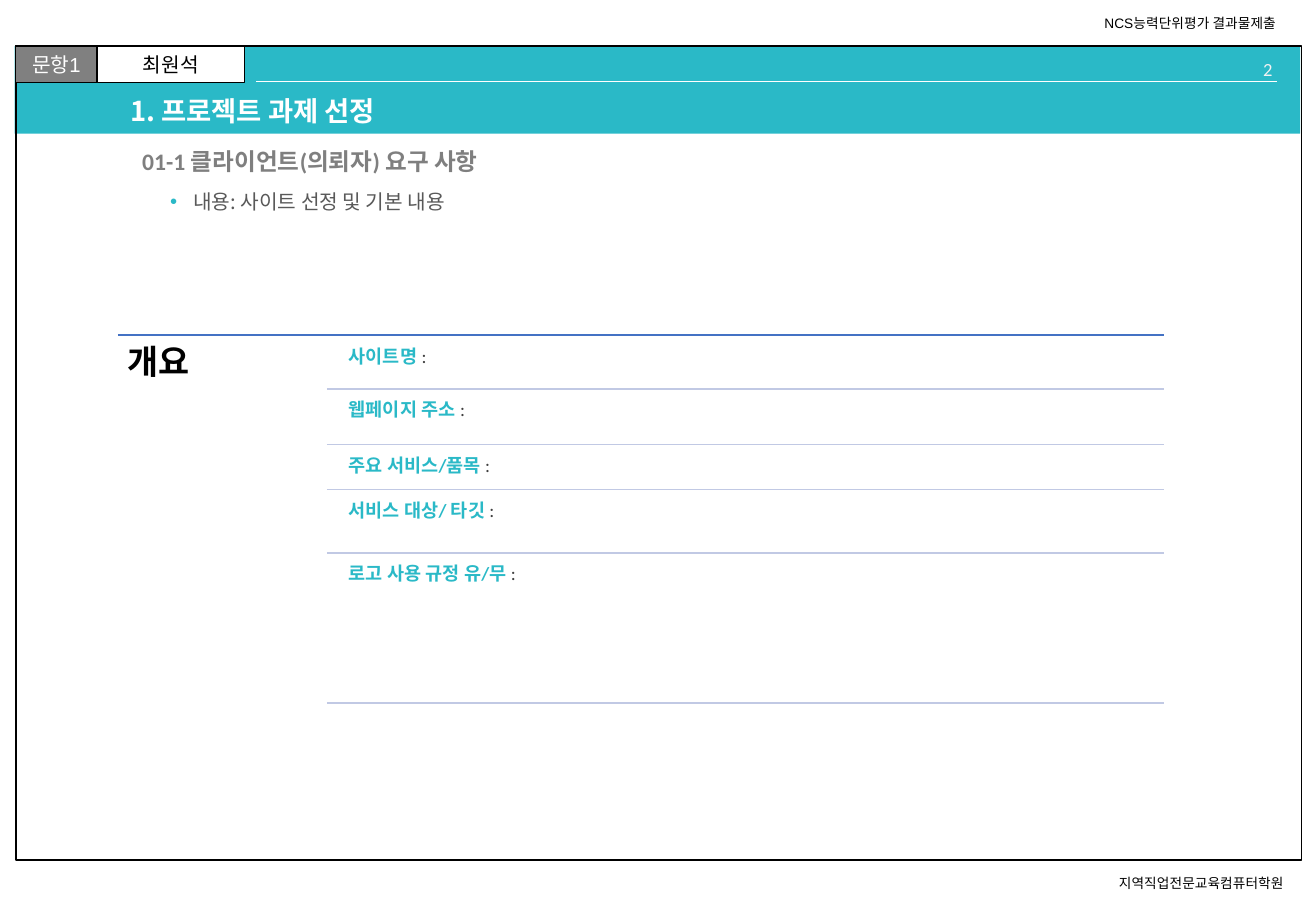
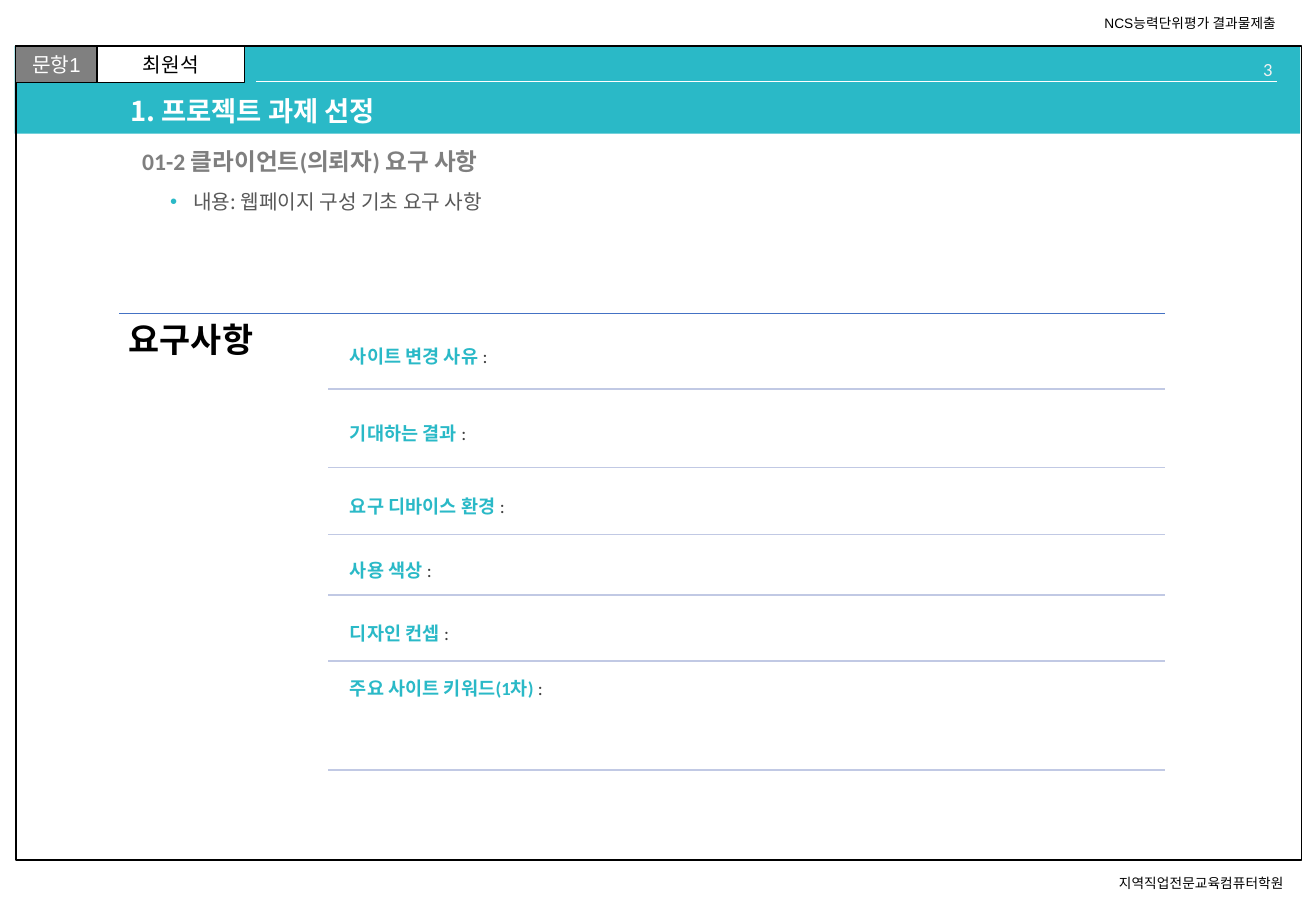
from lxml import etree
from pptx import Presentation
from pptx.dml.color import RGBColor
from pptx.enum.shapes import MSO_CONNECTOR, MSO_SHAPE
from pptx.enum.text import MSO_ANCHOR, MSO_AUTO_SIZE, PP_ALIGN
from pptx.oxml.ns import qn
from pptx.util import Inches, Pt

LEFT, CENTER, RIGHT = PP_ALIGN.LEFT, PP_ALIGN.CENTER, PP_ALIGN.RIGHT
TOP, MIDDLE = MSO_ANCHOR.TOP, MSO_ANCHOR.MIDDLE
RECTANGLE, STRAIGHT = MSO_SHAPE.RECTANGLE, MSO_CONNECTOR.STRAIGHT

COLORS = {
    "teal": "2AB9C7", "blue": "4472C4", "lavender": "C1C9E4",
    "black": "000000", "white": "FFFFFF", "pale": "F2F2F2",
    "gray": "808080", "subtitle": "7F7F7F", "body": "595959", "colon": "404040",
}
KOREAN, LATIN, PLAIN = "Noto Sans CJK KR", "Calibri", "Arial"

# Grid: square cells of a tenth of an inch
CELL = 0.1
COLUMNS, ROWS = 108.3, 75
TWO_CONTENT = 3


def grid(*cells):
    return [Inches(cell * CELL) for cell in cells]


def color(name):
    return RGBColor.from_string(COLORS[name])


class Builder:
    def __init__(self):
        self.deck = Presentation()
        self.deck.slide_width, self.deck.slide_height = grid(COLUMNS, ROWS)
        self.page = None

    def new_page(self):
        layout = self.deck.slide_layouts[TWO_CONTENT]
        self.page = self.deck.slides.add_slide(layout)

    def format(self, para, font, size, tone=None, bold=False, align=LEFT, spacing=None):
        para.alignment = align
        para.line_spacing = spacing
        para.font.name, para.font.size = font, Pt(size)
        para.font.bold = bold
        if tone:
            para.font.color.rgb = color(tone)

    def rectangle(self, at, fill=None, line=None, width=1.0):
        box = self.page.shapes.add_shape(RECTANGLE, *grid(*at))
        box.shadow.inherit = False
        if fill:
            box.fill.solid()
            box.fill.fore_color.rgb = color(fill)
        else:
            box.fill.background()
        if line:
            box.line.color.rgb = color(line)
            box.line.width = Pt(width)
        else:
            box.line.fill.background()
        return box

    def tag(self, at, text, fill, tone):
        box = self.rectangle(at, fill, "black", 0.75)
        box.text_frame.vertical_anchor = MIDDLE
        box.text_frame.text = text
        self.format(box.text_frame.paragraphs[0], PLAIN, 12, tone, align=CENTER)

    def text_box(self, at, inset=None, anchor=TOP, wrap=True):
        frame = self.page.shapes.add_textbox(*grid(*at)).text_frame
        frame.word_wrap = wrap
        frame.vertical_anchor = anchor
        if inset is not None:
            frame.margin_left = frame.margin_right = Inches(inset)
            frame.margin_top = frame.margin_bottom = Inches(inset)
        return frame

    def text(self, at, text, font, size, tone, inset=None, wrap=True, **style):
        frame = self.text_box(at, inset, wrap=wrap)
        frame.text = text
        self.format(frame.paragraphs[0], font, size, tone, **style)

    def rule(self, left, right, row, tone, width=1.0):
        line = self.page.shapes.add_connector(STRAIGHT, *grid(left, row, right, row))
        line.line.color.rgb = color(tone)
        line.line.width = Pt(width)
        etree.SubElement(line.element.spPr, qn("a:effectLst"))

    def placeholder(self, index, at, text, anchor, before, *look, **style):
        box = self.page.placeholders[index]
        box.left, box.top, box.width, box.height = grid(*at)
        self.page.shapes.element.append(box.element)  # in front of the band
        frame = box.text_frame
        frame.text = text
        frame.word_wrap = True
        frame.auto_size = MSO_AUTO_SIZE.NONE
        frame.vertical_anchor = anchor
        para = frame.paragraphs[0]
        self.format(para, *look, **style)
        para.space_before = Pt(before)
        return para

    def bullet(self, para, mark=None, indent=0.0):
        props = para._p.get_or_add_pPr()
        props.set("marL", str(Inches(indent)))
        props.set("indent", str(-Inches(indent)))
        parts = []
        if mark:
            tint = etree.Element(qn("a:buClr"))
            etree.SubElement(tint, qn("a:srgbClr"), val=COLORS["teal"])
            parts = [tint, etree.Element(qn("a:buChar"), char=mark)]
        else:
            parts = [etree.Element(qn("a:buNone"))]
        defaults = props.find(qn("a:defRPr"))
        for part in parts:
            defaults.addprevious(part)

    def frame(self, number):
        self.rectangle((1.2, 3.8, 105.8, 7.2), fill="teal")
        self.rectangle((1.3, 3.8, 105.8, 67), line="black")
        self.text((91.1, 71.5, 16.8, 2.4), "지역직업전문교육컴퓨터학원",
                  PLAIN, 8.1, "black", wrap=False)
        self.text((89.9, 0.7, 17.2, 2.4), "NCS능력단위평가 결과물제출",
                  PLAIN, 8.1, "black", wrap=False)
        self.tag((1.3, 3.8, 6.7, 3), "문항1", "gray", "white")
        self.tag((8, 3.8, 12.1, 3), "최원석", "white", "black")
        self.text((93.9, 4.3, 11.8, 2), str(number), LATIN, 11, "pale", align=RIGHT)
        self.rule(21.1, 105.1, 6.7, "white", 0.5)

    def headings(self, title, subtitle, content):
        self.placeholder(0, (9.7, 7.6, 87.6, 3.4), title, MIDDLE, 0,
                         KOREAN, 16.2, "white", bold=True, spacing=0.9)
        para = self.placeholder(1, (10.7, 11.7, 86.6, 3.4), subtitle, MIDDLE, 10,
                                LATIN, 14, "subtitle", bold=True, spacing=0.9)
        self.bullet(para)
        para = self.placeholder(2, (13, 15.1, 84.3, 3.4), content, TOP, 3,
                                KOREAN, 12, "body")
        self.bullet(para, "•", 0.19)

    def field(self, at, label, anchor, spacing):
        para = self.text_box(at, 0.05, anchor).paragraphs[0]
        self.format(para, LATIN, 11, spacing=spacing)
        para.space_after = Pt(4)
        for words, tone, bold in ((label + " ", "teal", True), (":", "colon", False)):
            span = para.add_run()
            span.text = words
            span.font.bold = bold
            span.font.color.rgb = color(tone)

    def form(self, heading, left, top, gap, fields, anchor, spacing):
        """A heading beside fields; each field ends at the row of its rule."""
        right, bottom = left + 86.1, fields[-1][1]
        self.rule(left, right, top, "blue")
        self.text((left, top, 17.2, bottom - top), heading, LATIN, 20, "black",
                  inset=0.08, bold=True, spacing=0.9)
        for label, end in fields:
            place = TOP if end == bottom else anchor
            self.field((left + 18.5, top + gap, 67.5, end - top - gap),
                       label, place, spacing)
            self.rule(left + 17.2, right, end, "lavender")
            top = end


PAGES = [
    dict(subtitle="01-1 클라이언트(의뢰자) 요구 사항",
         content="내용: 사이트 선정 및 기본 내용",
         form=dict(heading="개요", left=9.7, top=27.6, gap=0.5, anchor=TOP, spacing=0.9,
                   fields=[("사이트명", 32), ("웹페이지 주소", 36.6),
                           ("주요 서비스/품목", 40.3), ("서비스 대상/ 타깃", 45.5),
                           ("로고 사용 규정 유/무", 57.9)])),
    dict(subtitle="01-2 클라이언트(의뢰자) 요구 사항",
         content="내용: 웹페이지 구성 기초 요구 사항",
         form=dict(heading="요구사항", left=9.8, top=25.8, gap=0.8, anchor=MIDDLE, spacing=None,
                   fields=[("사이트 변경 사유", 32), ("기대하는 결과", 38.5),
                           ("요구 디바이스 환경", 44), ("사용 색상", 49),
                           ("디자인 컨셉", 54.4), ("주요 사이트 키워드(1차)", 63.4)])),
]

builder = Builder()
for number, entry in enumerate(PAGES, start=2):
    builder.new_page()
    builder.frame(number)
    builder.headings("1. 프로젝트 과제 선정", entry["subtitle"], entry["content"])
    builder.form(**entry["form"])
builder.deck.save("out.pptx")
